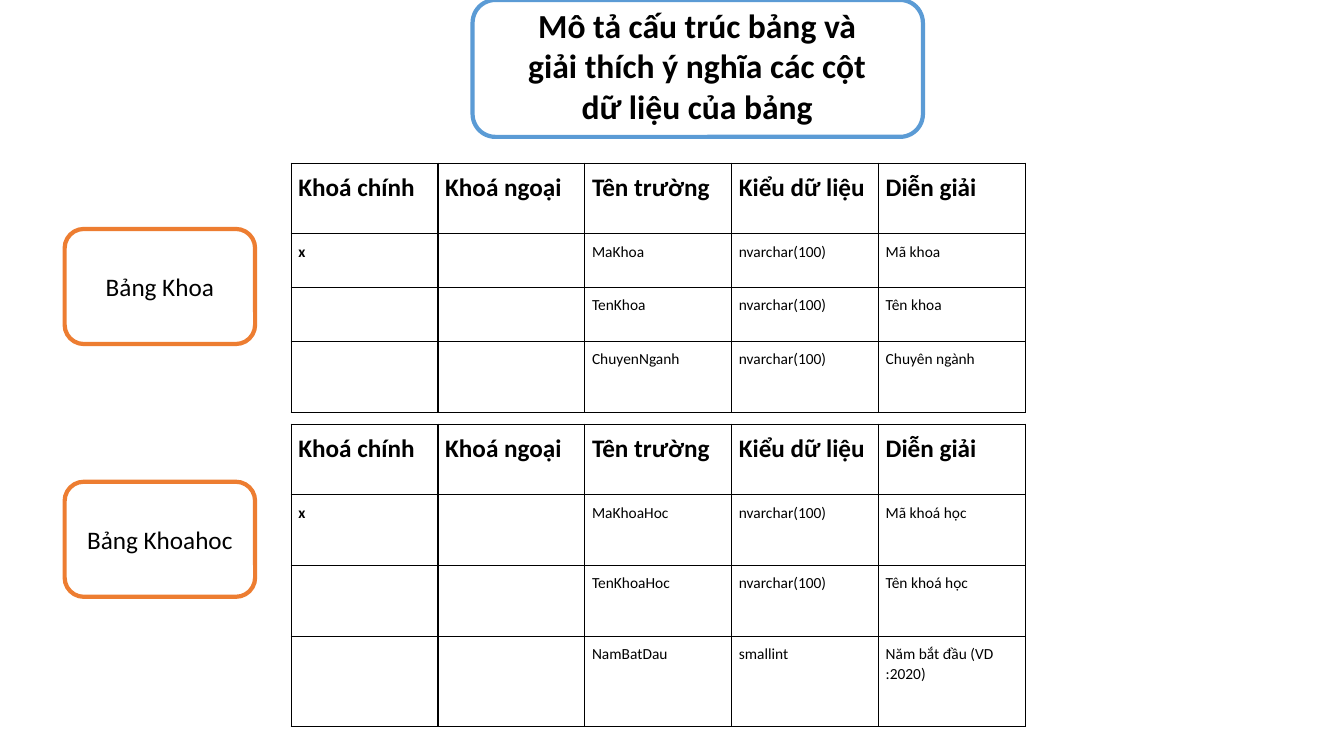
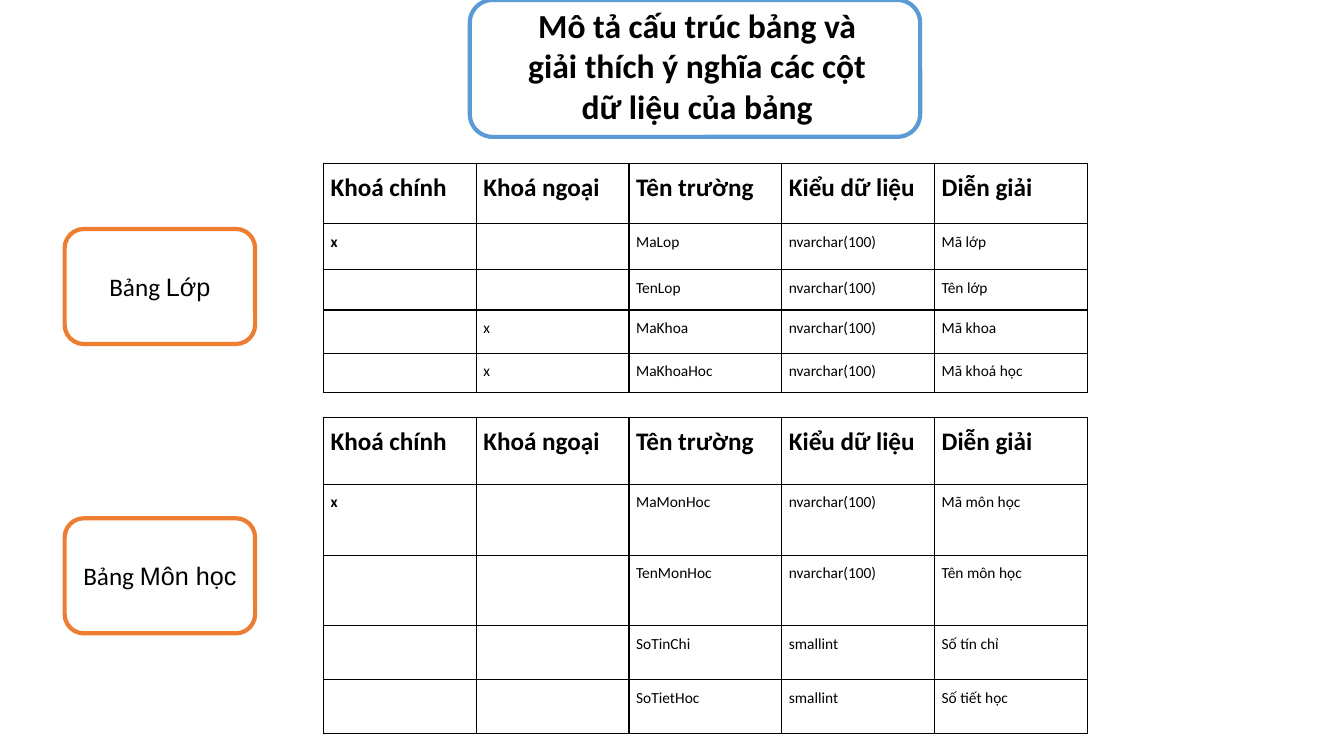
from lxml import etree
from pptx import Presentation
from pptx.dml.color import RGBColor
from pptx.enum.shapes import MSO_SHAPE
from pptx.enum.text import MSO_ANCHOR, PP_ALIGN
from pptx.oxml.ns import qn
from pptx.util import Cm, Pt

ROUNDED = MSO_SHAPE.ROUNDED_RECTANGLE
MIDDLE = MSO_ANCHOR.MIDDLE
CENTER = PP_ALIGN.CENTER

COLORS = {"paper": "FFFFFF", "ink": "000000", "title": "5B9BD5", "label": "ED7D31"}
FONT = "Calibri"
LABEL_FONT = "Arial"
TITLE = "Mô tả cấu trúc bảng và giải thích ý nghĩa các cột dữ liệu của bảng"
HEADERS = ["Khoá chính", "Khoá ngoại", "Tên trường", "Kiểu dữ liệu", "Diễn giải"]
TEXT = "nvarchar(100)"
NUMBER = "smallint"
CELL_MARGIN = Cm(0.18)
LABEL_LEFT = 1.63

SLIDES = [
    {
        "title_left": 11.91,
        "table_left": 7.34,
        "column_width": 3.7,
        "sections": [
            {
                "label": [("Bảng Khoa", FONT)],
                "label_top": 5.77,
                "table_top": 4.11,
                "heights": [1.78, 1.36, 1.36, 1.78],
                "fields": [
                    ["x", "", "MaKhoa", TEXT, "Mã khoa"],
                    ["", "", "TenKhoa", TEXT, "Tên khoa"],
                    ["", "", "ChuyenNganh", TEXT, "Chuyên ngành"],
                ],
            },
            {
                "label": [("Bảng Khoahoc", FONT)],
                "label_top": 12.14,
                "table_top": 10.69,
                "heights": [1.78, 1.78, 1.78, 2.27],
                "fields": [
                    ["x", "", "MaKhoaHoc", TEXT, "Mã khoá học"],
                    ["", "", "TenKhoaHoc", TEXT, "Tên khoá học"],
                    ["", "", "NamBatDau", NUMBER, "Năm bắt đầu (VD :2020)"],
                ],
            },
        ],
    },
    {
        "title_left": 11.84,
        "table_left": 8.15,
        "column_width": 3.85,
        "sections": [
            {
                "label": [("Bảng ", FONT), ("Lớp", LABEL_FONT)],
                "label_top": 5.77,
                "table_top": 4.11,
                "heights": [1.53, 1.16, 1.01, 1.09, 0.99],
                "fields": [
                    ["x", "", "MaLop", TEXT, "Mã lớp"],
                    ["", "", "TenLop", TEXT, "Tên lớp"],
                    ["", "x", "MaKhoa", TEXT, "Mã khoa"],
                    ["", "x", "MaKhoaHoc", TEXT, "Mã khoá học"],
                ],
            },
            {
                "label": [("Bảng ", FONT), ("Môn học", LABEL_FONT)],
                "label_top": 13.06,
                "table_top": 10.52,
                "heights": [1.69, 1.78, 1.78, 1.36, 1.36],
                "fields": [
                    ["x", "", "MaMonHoc", TEXT, "Mã môn học"],
                    ["", "", "TenMonHoc", TEXT, "Tên môn học"],
                    ["", "", "SoTinChi", NUMBER, "Số tín chỉ"],
                    ["", "", "SoTietHoc", NUMBER, "Số tiết học"],
                ],
            },
        ],
    },
]


def color(name):
    """Return the named colour."""
    return RGBColor.from_string(COLORS[name])


def format_run(run, size, bold=False, font=FONT):
    """Apply the text style to a run."""
    run.font.name = font
    run.font.size = Pt(size)
    run.font.bold = bold
    run.font.color.rgb = color("ink")


def add_rounded_box(slide, left, top, width, height, line):
    """Add a white rounded rectangle with a coloured outline."""
    shape = slide.shapes.add_shape(ROUNDED, Cm(left), Cm(top), Cm(width), Cm(height))
    shape.shadow.inherit = False
    shape.fill.solid()
    shape.fill.fore_color.rgb = color("paper")
    shape.line.color.rgb = color(line)
    shape.line.width = Pt(3)
    return shape


def add_title(slide, left):
    """Add the title frame and its centred heading."""
    add_rounded_box(slide, left, 0, 11.35, 3.45, "title")
    heading = slide.shapes.add_textbox(Cm(12.73), Cm(0), Cm(9.68), Cm(3.45))
    heading.text_frame.word_wrap = True
    paragraph = heading.text_frame.paragraphs[0]
    paragraph.text = TITLE
    paragraph.alignment = CENTER
    format_run(paragraph.runs[0], 24, bold=True)


def add_label(slide, left, top, parts):
    """Add the label that names a table."""
    shape = add_rounded_box(slide, left, top, 4.8, 2.9, "label")
    shape.text_frame.word_wrap = True
    shape.text_frame.vertical_anchor = MIDDLE
    paragraph = shape.text_frame.paragraphs[0]
    paragraph.alignment = CENTER
    for text, font in parts:
        run = paragraph.add_run()
        run.text = text
        format_run(run, 18, font=font)


def add_borders(cell):
    """Draw a thin line on each side of a cell."""
    properties = cell._tc.get_or_add_tcPr()
    for side in ("a:lnL", "a:lnR", "a:lnT", "a:lnB"):
        line = etree.SubElement(properties, qn(side), w=str(Pt(1)))
        fill = etree.SubElement(line, qn("a:solidFill"))
        etree.SubElement(fill, qn("a:srgbClr"), val=COLORS["ink"])


def fill_cell(cell, text, size, bold):
    """Set the text, margins, borders and fill of a cell."""
    cell.margin_left = cell.margin_right = CELL_MARGIN
    cell.margin_top = cell.margin_bottom = CELL_MARGIN
    add_borders(cell)
    cell.fill.solid()
    cell.fill.fore_color.rgb = color("paper")
    paragraph = cell.text_frame.paragraphs[0]
    paragraph.line_spacing = 1.07
    if text:
        paragraph.text = text
        format_run(paragraph.runs[0], size, bold)
    else:
        etree.SubElement(paragraph._p, qn("a:endParaRPr"), sz=str(size * 100))


def add_field_table(slide, left, top, column_width, heights, fields):
    """Add a table that describes the fields of one database table."""
    rows = [HEADERS] + fields
    frame = slide.shapes.add_table(
        len(rows), len(HEADERS), Cm(left), Cm(top),
        Cm(column_width * len(HEADERS)), Cm(sum(heights)),
    )
    table = frame.table
    table.first_row = table.horz_banding = False
    for column in table.columns:
        column.width = Cm(column_width)
    for row_index, values in enumerate(rows):
        table.rows[row_index].height = Cm(heights[row_index])
        is_header = row_index == 0
        for column_index, text in enumerate(values):
            bold = is_header or column_index == 0
            size = 18 if is_header else 11
            fill_cell(table.cell(row_index, column_index), text, size, bold)


def add_structure_slide(presentation, content):
    """Add a slide with a title and labelled field tables."""
    slide = presentation.slides.add_slide(presentation.slide_layouts[6])
    add_title(slide, content["title_left"])
    for section in content["sections"]:
        add_label(slide, LABEL_LEFT, section["label_top"], section["label"])
        add_field_table(
            slide, content["table_left"], section["table_top"],
            content["column_width"], section["heights"], section["fields"],
        )


def main():
    """Build and save the presentation."""
    presentation = Presentation()
    presentation.slide_width = Cm(33.87)
    presentation.slide_height = Cm(19.05)
    for content in SLIDES:
        add_structure_slide(presentation, content)
    presentation.save("out.pptx")


if __name__ == "__main__":
    main()
